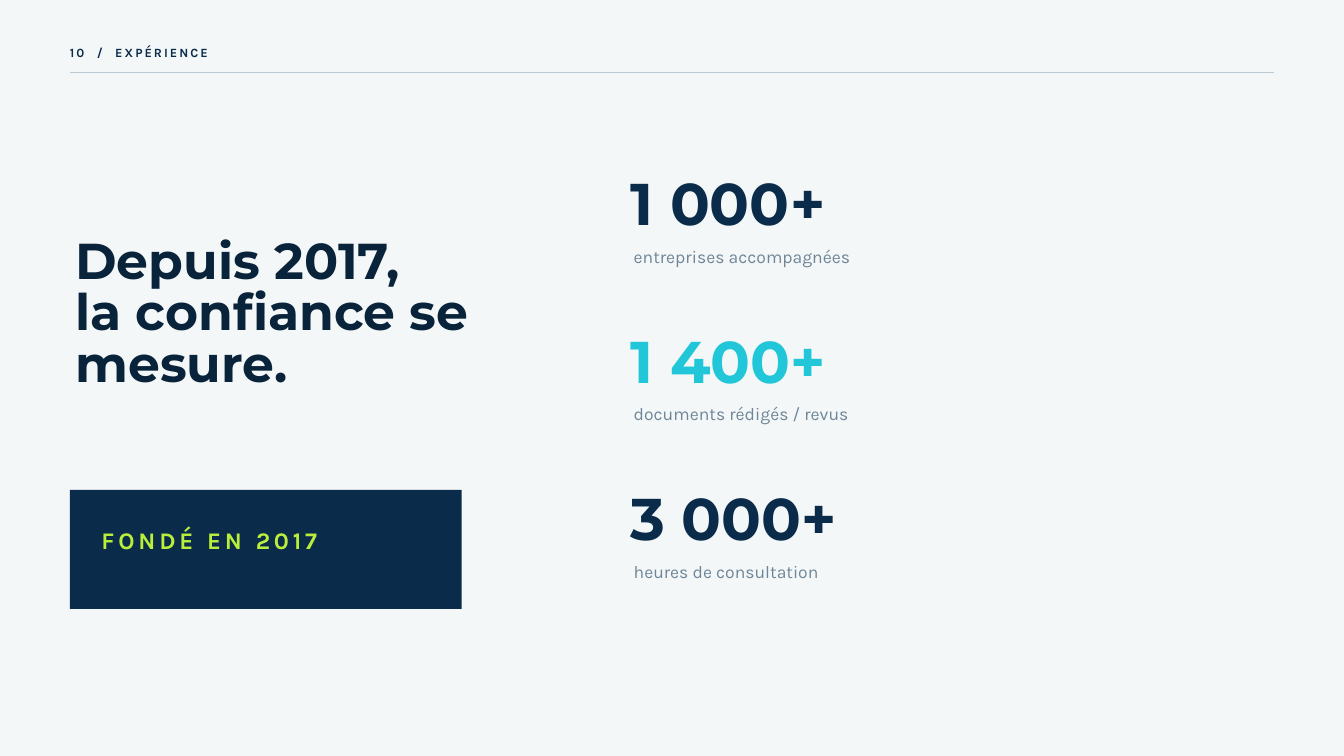
import pptx
import pptx.util
import pptx.dml.color
import pptx.enum.shapes
import pptx.enum.text
from pptx.util import Inches, Pt

COLORS = {
    "background": "F3F7F8",
    "navy": "0B2B4B",
    "title": "09233B",
    "rule": "B9C8D1",
    "cyan": "21C7D9",
    "grey": "6F8597",
    "lime": "B9EF3B",
}


def rgb(name):
    return pptx.dml.color.RGBColor.from_string(COLORS[name])


def write(box, place, lines, font, size, color, leading, bold=True, tracking=0):
    """Place a text shape and fill it with one paragraph per line."""
    box.left, box.top, box.width, box.height = [Inches(value) for value in place]
    frame = box.text_frame
    frame.word_wrap = True
    frame.auto_size = pptx.enum.text.MSO_AUTO_SIZE.SHAPE_TO_FIT_TEXT
    frame.vertical_anchor = pptx.enum.text.MSO_ANCHOR.TOP
    frame.margin_left = frame.margin_right = frame.margin_top = frame.margin_bottom = 0
    frame.text = "\n".join(lines)
    for para in frame.paragraphs:
        para.alignment = pptx.enum.text.PP_ALIGN.LEFT
        para.line_spacing = Pt(leading)
        para.space_before = Pt(0)
        para.font.name = font
        para.font.size = Pt(size)
        para.font.bold = bold
        para.font.color.rgb = rgb(color)
        if tracking:
            for span in para.runs:
                span._r.get_or_add_rPr().set("spc", str(round(tracking * 100)))


deck = pptx.Presentation()
deck.slide_width, deck.slide_height = Inches(20), Inches(11.25)
page = deck.slides.add_slide(deck.slide_layouts[5])
page.background.fill.solid()
page.background.fill.fore_color.rgb = rgb("background")
shapes = page.shapes

# Header and rule
header = shapes.add_textbox(0, 0, 0, 0)
write(header, (1.04, 0.63, 6.46, 0.24), ["10  /  EXPÉRIENCE"],
      "Karla", 13.5, "navy", 18.9, tracking=2.2)
rule = shapes.add_connector(pptx.enum.shapes.MSO_CONNECTOR.STRAIGHT,
                            Inches(1.04), Inches(1.08), Inches(18.96), Inches(1.08))
rule.line.color.rgb = rgb("rule")
rule.line.width = Pt(1)
rule._element.spPr.append(pptx.oxml.parse_xml(
    '<a:effectLst xmlns:a="http://schemas.openxmlformats.org/drawingml/2006/main"/>'))

# Title
write(shapes.title, (1.12, 3.53, 7.92, 2.35), ["Depuis 2017,", "la confiance se mesure."],
      "Montserrat", 54, "title", 55.6)

# Key figures
figures = [
    ("1 000+", "entreprises accompagnées", "navy"),
    ("1 400+", "documents rédigés / revus", "cyan"),
    ("3 000+", "heures de consultation", "navy"),
]
for index, (figure, label, color) in enumerate(figures):
    top = 2.63 + index * 2.345
    write(shapes.add_textbox(0, 0, 0, 0), (9.38, top, 7.29, 0.97), [figure],
          "Montserrat", 63, color, 64.9)
    write(shapes.add_textbox(0, 0, 0, 0), (9.43, top + 0.99, 7.29, 0.33), [label],
          "Karla", 18.8, "grey", 25.3, bold=False)

# Founding year panel
panel = shapes.add_shape(pptx.enum.shapes.MSO_SHAPE.RECTANGLE,
                         Inches(1.04), Inches(7.29), Inches(5.83), Inches(1.77))
panel.shadow.inherit = False
panel.fill.solid()
panel.fill.fore_color.rgb = rgb("navy")
panel.line.fill.background()
write(shapes.add_textbox(0, 0, 0, 0), (1.51, 7.76, 4.9, 0.47), ["FONDÉ EN 2017"],
      "Karla", 25.5, "lime", 35.7, tracking=4.1)

deck.save("out.pptx")
